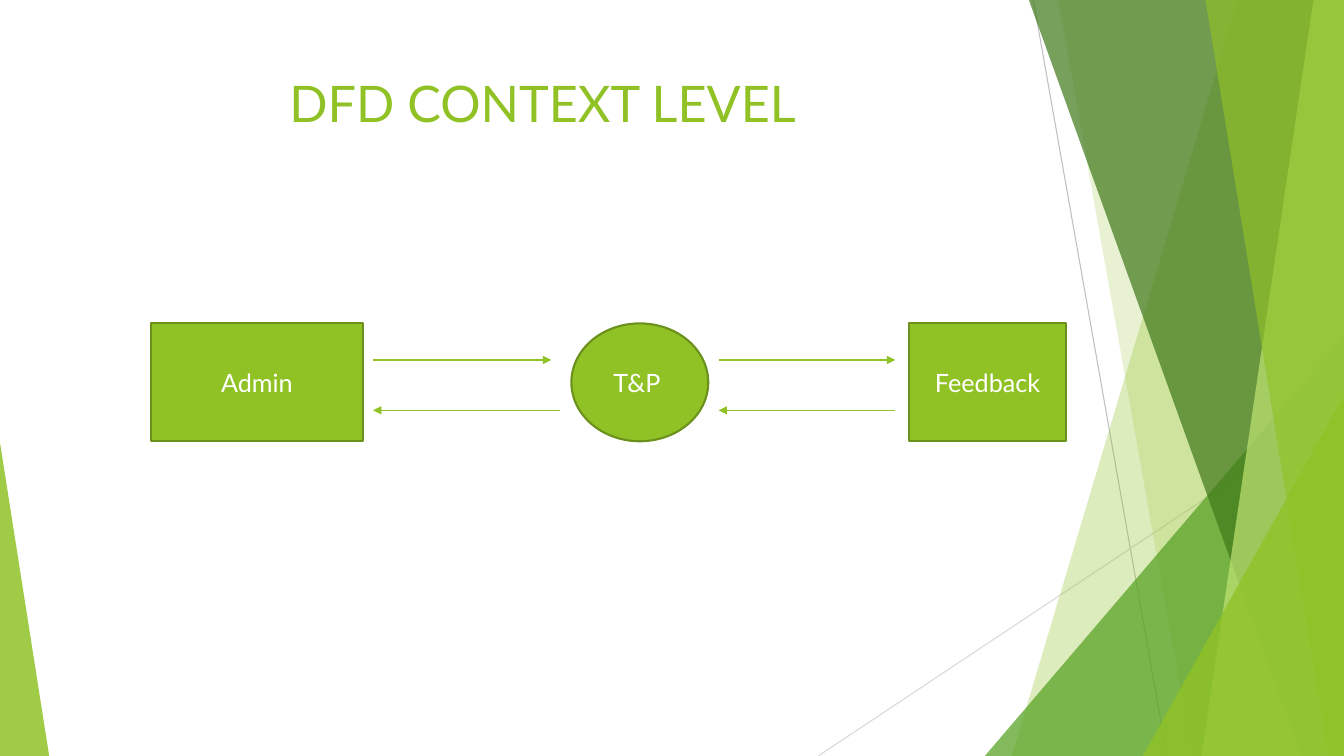
from lxml import etree
from pptx import Presentation
from pptx.dml.color import RGBColor
from pptx.enum.shapes import MSO_CONNECTOR, MSO_SHAPE
from pptx.enum.text import MSO_ANCHOR, PP_ALIGN
from pptx.oxml.ns import qn
from pptx.util import Cm, Pt

STRAIGHT = MSO_CONNECTOR.STRAIGHT
RECTANGLE, OVAL = MSO_SHAPE.RECTANGLE, MSO_SHAPE.OVAL
TRIANGLE = MSO_SHAPE.ISOSCELES_TRIANGLE
CENTER, MIDDLE, TOP = PP_ALIGN.CENTER, MSO_ANCHOR.MIDDLE, MSO_ANCHOR.TOP

GREEN = RGBColor(0x90, 0xC2, 0x26)
OUTLINE = RGBColor(0x6B, 0x90, 0x1C)
LEAF = RGBColor(0x54, 0xA0, 0x21)
FOREST = RGBColor(0x3F, 0x78, 0x19)
LIME = RGBColor(0xC0, 0xE4, 0x74)
GREY = RGBColor(0xBF, 0xBF, 0xBF)
LIGHT_GREY = RGBColor(0xD9, 0xD9, 0xD9)
WHITE = RGBColor(0xFF, 0xFF, 0xFF)
FONT = "Lato"
WIDTH, HEIGHT = 33.87, 19.05

deck = Presentation()
deck.slide_width, deck.slide_height = Cm(WIDTH), Cm(HEIGHT)
page = deck.slides.add_slide(deck.slide_layouts[6])


def add_line(start, end, color, weight):
    line = page.shapes.add_connector(
        STRAIGHT, Cm(start[0]), Cm(start[1]), Cm(end[0]), Cm(end[1]))
    line.line.color.rgb = color
    line.line.width = Pt(weight)
    etree.SubElement(line._element.spPr, qn("a:effectLst"))
    return line


def write(shape, text, size, color, anchor):
    frame = shape.text_frame
    frame.text = text
    frame.word_wrap = True
    frame.vertical_anchor = anchor
    para = frame.paragraphs[0]
    para.alignment = CENTER
    font = para.runs[0].font
    font.name, font.size, font.color.rgb = FONT, Pt(size), color


# Thin background lines
add_line((26.04, 0), (29.41, HEIGHT), GREY, 0.75)
add_line((WIDTH, 10.24), (20.62, HEIGHT), LIGHT_GREY, 0.75)

# Translucent facets: bands give top and bottom x of their slanted edge,
# triangles give left, top, width and apex position
facets = [
    ((31.19, 25.5), GREEN, 30),
    ((26.67, 30.05), GREEN, 20),
    ((24.82, 8.46, 9.05, 1), LEAF, 72),
    ((25.93, 32.79), FOREST, 70),
    ((33.1, 30.28), LIME, 70),
    ((30.38, 33.48), GREEN, 65),
    ((28.8, 9.98, 5.07, 1), GREEN, 80),
    ((0, 11.15, 1.24, 0), GREEN, 85),
]
for geometry, color, opacity in facets:
    if len(geometry) == 2:
        top_x, bottom_x = geometry
        builder = page.shapes.build_freeform(Cm(top_x), 0)
        builder.add_line_segments([
            (Cm(WIDTH), 0), (Cm(WIDTH), Cm(HEIGHT)), (Cm(bottom_x), Cm(HEIGHT))])
        facet = builder.convert_to_shape()
    else:
        left, top, width, apex = geometry
        facet = page.shapes.add_shape(
            TRIANGLE, Cm(left), Cm(top), Cm(width), Cm(HEIGHT - top))
        facet.adjustments[0] = apex
    facet.shadow.inherit = False
    facet.line.fill.background()
    facet.fill.solid()
    facet.fill.fore_color.rgb = color
    color_node = facet._element.spPr.find(qn("a:solidFill"))[0]
    etree.SubElement(color_node, qn("a:alpha"), val=str(opacity * 1000))

# Title
title = page.shapes.add_textbox(Cm(1.88), Cm(1.7), Cm(23.88), Cm(3.66))
write(title, "DFD CONTEXT LEVEL ", 36, GREEN, TOP)

# Entities and process
nodes = [
    (RECTANGLE, 3.81, 5.33, "Admin"),
    (OVAL, 14.4, 3.45, "T&P "),
    (RECTANGLE, 22.91, 3.96, "Feedback"),
]
for kind, left, width, label in nodes:
    node = page.shapes.add_shape(kind, Cm(left), Cm(8.15), Cm(width), Cm(2.97))
    node.shadow.inherit = False
    node.fill.solid()
    node.fill.fore_color.rgb = GREEN
    node.line.color.rgb = OUTLINE
    node.line.width = Pt(1.5)
    write(node, label, 18, WHITE, MIDDLE)

# Data flows: outward above, returning below
OUTWARD_Y, RETURN_Y = 9.07, 10.34
flows = [
    (9.4, 13.89, OUTWARD_Y),
    (14.1, 9.4, RETURN_Y),
    (22.56, 18.11, RETURN_Y),
    (18.11, 22.56, OUTWARD_Y),
]
for start_x, end_x, y in flows:
    flow = add_line((start_x, y), (end_x, y), GREEN, 1)
    outline = flow._element.spPr.find(qn("a:ln"))
    etree.SubElement(outline, qn("a:tailEnd"), type="triangle")

deck.save("out.pptx")
